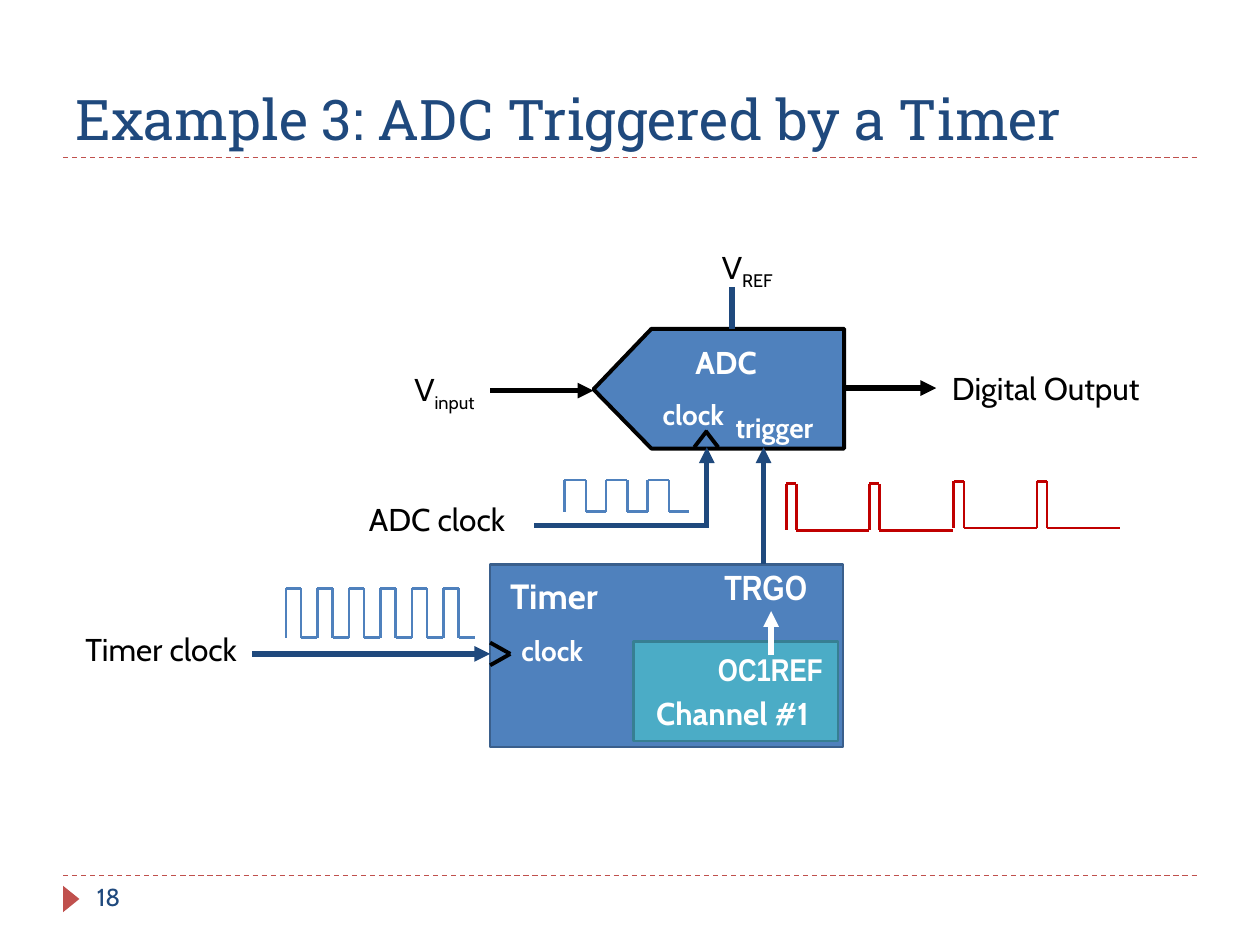
import pptx
import pptx.dml.color
import pptx.enum.dml
import pptx.enum.shapes
import pptx.enum.text
import pptx.oxml
import pptx.oxml.ns
import pptx.util
from pptx.util import Inches

RGB = pptx.dml.color.RGBColor
BLACK = RGB(0, 0, 0)
WHITE = RGB(0xFF, 0xFF, 0xFF)
NAVY = RGB(0x1F, 0x49, 0x7D)
BLUE = RGB(0x4F, 0x81, 0xBD)
EDGE = RGB(0x3A, 0x5F, 0x8C)
TEAL = RGB(0x4B, 0xAC, 0xC6)
RIM = RGB(0x37, 0x7F, 0x92)
BRICK = RGB(0xC0, 0x50, 0x4D)
RED = RGB(0xC0, 0, 0)
KIND = pptx.enum.shapes.MSO_SHAPE


def add_line(slide, start, end, color, width, arrow=False, dash=False):
    line = slide.shapes.add_connector(
        pptx.enum.shapes.MSO_CONNECTOR.STRAIGHT,
        *(Inches(v) for v in (*start, *end)))
    line.line.color.rgb = color
    line.line.width = pptx.util.Pt(width)
    if dash:
        line.line.dash_style = pptx.enum.dml.MSO_LINE.DASH
    make = pptx.oxml.xmlchemy.OxmlElement
    if arrow:
        tip = make("a:tailEnd")
        tip.set("type", "triangle")
        line.line._get_or_add_ln().append(tip)
    line._element.spPr.append(make("a:effectLst"))


def paint(shape, fill, edge=None, width=1.5):
    shape.shadow.inherit = False
    shape.fill.solid()
    shape.fill.fore_color.rgb = fill
    if edge is None:
        shape.line.fill.background()
    else:
        shape.line.color.rgb = edge
        shape.line.width = pptx.util.Pt(width)


def add_box(slide, box, kind, fill, edge=None):
    shape = slide.shapes.add_shape(kind, *map(Inches, box))
    paint(shape, fill, edge)
    return shape


def add_text(slide, box, text, size=18, color=BLACK, face="Cabin",
             bold=False, sub="", wrap=False, grow=True):
    shape = slide.shapes.add_textbox(*map(Inches, box))
    frame = shape.text_frame
    frame.word_wrap = wrap
    if grow:
        frame.auto_size = pptx.enum.text.MSO_AUTO_SIZE.SHAPE_TO_FIT_TEXT
    para = frame.paragraphs[0]
    para.add_run().text = text
    if sub:
        run = para.add_run()
        run.text = sub
        run._r.get_or_add_rPr().set("baseline", "-25000")
    font = para.font
    font.size = pptx.util.Pt(size)
    font.name = face
    font.bold = bold
    font.color.rgb = color
    return shape


def add_wave(slide, left, top, step, high, tall, count, color):
    """Draw count pulses, each high for the given width of its step."""
    base = top + tall
    for i in range(count):
        rise = left + i * step
        fall = rise + high
        for start, end in (((rise, top), (fall, top)),
                           ((fall, top), (fall, base)),
                           ((rise, top), (rise, base)),
                           ((fall, base), (rise + step, base))):
            add_line(slide, start, end, color, 1.5)


def add_frame(slide):
    for y in (6.95, 1.25):
        add_line(slide, (0.5, y), (9.5, y), BRICK, 0.75, dash=True)
    mark = add_box(slide, (0.46, 7.07, 0.21, 0.13),
                   KIND.ISOSCELES_TRIANGLE, BRICK)
    mark.rotation = 90
    title = add_text(slide, (0.5, 0.17, 9, 1.08),
                     "Example 3: ADC Triggered by a Timer", 32, NAVY,
                     "Roboto Slab", wrap=True, grow=False)
    title.text_frame.vertical_anchor = pptx.enum.text.MSO_ANCHOR.BOTTOM
    add_text(slide, (0.67, 6.95, 2.17, 0.4), "18", 14, NAVY,
             wrap=True, grow=False)


def add_blocks(slide):
    points = [(6.7, 2.61), (6.7, 3.56), (5.17, 3.56), (4.71, 3.09),
              (5.17, 2.61)]
    first, *rest = [tuple(map(Inches, p)) for p in points]
    form = slide.shapes.build_freeform(*first)
    form.add_line_segments(rest, close=True)
    paint(form.convert_to_shape(), BLUE, BLACK, 2.25)
    add_box(slide, (3.89, 4.48, 2.8, 1.45), KIND.RECTANGLE, BLUE, EDGE)
    add_box(slide, (5.03, 5.09, 1.62, 0.79), KIND.RECTANGLE, TEAL, RIM)


def add_wires(slide):
    for start, end, color in (((3.89, 3.1), (4.71, 3.1), BLACK),
                              ((6.7, 3.08), (7.43, 3.08), BLACK),
                              ((5.61, 4.16), (5.61, 3.55), NAVY),
                              ((6.06, 4.48), (6.06, 3.55), NAVY),
                              ((2, 5.19), (3.89, 5.19), NAVY),
                              ((6.12, 5.2), (6.12, 4.85), WHITE)):
        add_line(slide, start, end, color, 3, arrow=True)
    add_line(slide, (5.81, 2.28), (5.81, 2.61), NAVY, 3)
    add_line(slide, (4.24, 4.17), (5.63, 4.17), NAVY, 3)
    for start, end in (((5.51, 3.55), (5.61, 3.42)),
                       ((5.7, 3.55), (5.6, 3.42)),
                       ((3.89, 5.1), (4.05, 5.19)),
                       ((3.89, 5.28), (4.05, 5.19))):
        add_line(slide, start, end, BLACK, 2.25)


def add_labels(slide):
    add_text(slide, (5.63, 1.92, 0.62, 0.4), "V", sub="REF")
    add_text(slide, (3.19, 2.89, 0.7, 0.4), "V", sub="input")
    add_text(slide, (2.83, 3.92, 1.34, 0.4), "ADC clock")
    add_text(slide, (0.58, 4.95, 1.43, 0.4), "Timer clock")
    out = add_text(slide, (7.43, 2.88, 1.74, 0.4), "Digital Output",
                   wrap=True)
    out.text_frame.paragraphs[0].alignment = pptx.enum.text.PP_ALIGN.CENTER
    for box, text, size, face in (
            ((5.42, 2.67, 0.79, 0.4), "ADC", 18, "Cabin"),
            ((5.16, 3.11, 0.75, 0.37), "clock", 16, "Cabin"),
            ((5.74, 3.21, 0.92, 0.37), "trigger", 16, "Cabin"),
            ((3.95, 4.51, 1.03, 0.44), "Timer", 20, "Cabin"),
            ((4.04, 4.98, 0.75, 0.37), "clock", 16, "Cabin"),
            ((5.65, 4.44, 0.87, 0.44), "TRGO", 20, "Arial Narrow"),
            ((5.6, 5.11, 1.04, 0.4), "OC1REF", 18, "Arial Narrow"),
            ((5.11, 5.46, 1.53, 0.4), "Channel #1", 18, "Cabin")):
        add_text(slide, box, text, size, WHITE, face, bold=True)


def main():
    deck = pptx.Presentation()
    deck.slide_width, deck.slide_height = Inches(10), Inches(7.5)
    slide = deck.slides.add_slide(deck.slide_layouts[6])
    add_frame(slide)
    add_blocks(slide)
    add_wires(slide)
    add_wave(slide, 4.48, 3.81, 0.33, 0.17, 0.25, 3, BLUE)
    add_wave(slide, 2.27, 4.67, 0.25, 0.12, 0.39, 6, BLUE)
    for left, top in ((6.24, 3.84), (7.57, 3.82)):
        add_wave(slide, left, top, 0.66, 0.08, 0.37, 2, RED)
    add_labels(slide)
    deck.save("out.pptx")


if __name__ == "__main__":
    main()
